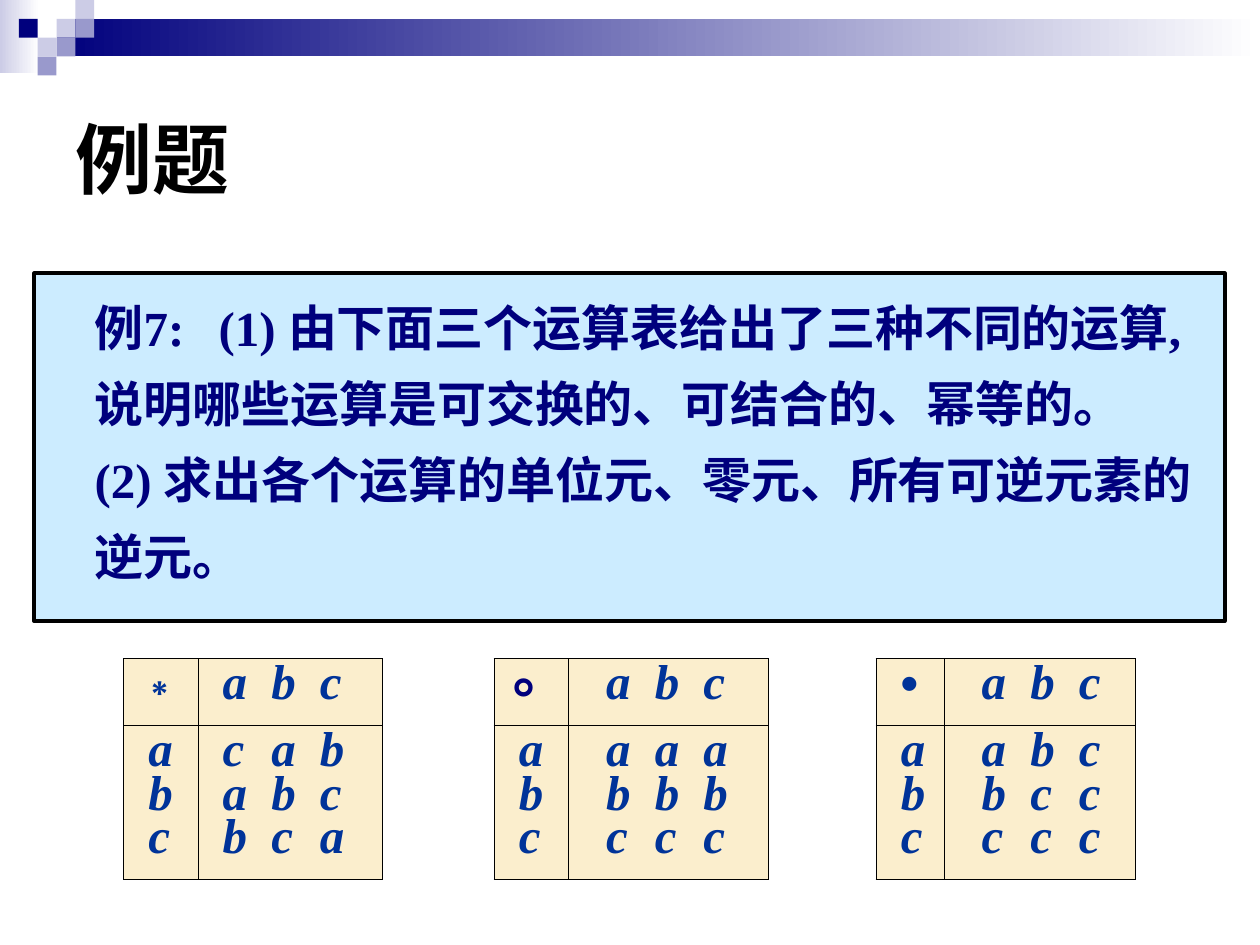
from pptx import Presentation
from pptx import util as u
from pptx.dml.color import RGBColor
from pptx.enum import shapes, text
from lxml import etree
from pptx.oxml import ns

NAVY = RGBColor(0x00, 0x00, 0x7D)
BLUE = RGBColor(0x00, 0x33, 0x99)
LAVENDER = RGBColor(0xCC, 0xCC, 0xE6)
PERIWINKLE = RGBColor(0x99, 0x99, 0xCC)
SKY = RGBColor(0xCC, 0xEC, 0xFF)
CREAM = RGBColor(0xFB, 0xEE, 0xCD)
WHITE = RGBColor(0xFF, 0xFF, 0xFF)
BLACK = RGBColor(0x00, 0x00, 0x00)
SERIF = "Times New Roman"

presentation = Presentation()
presentation.slide_width = u.Cm(25.4)
presentation.slide_height = u.Cm(19.05)
slide = presentation.slides.add_slide(presentation.slide_layouts[6])


def add_rectangle(left, top, width, height, color=None):
    shape = slide.shapes.add_shape(shapes.MSO_SHAPE.RECTANGLE, u.Cm(left),
                                   u.Cm(top), u.Cm(width), u.Cm(height))
    shape.shadow.inherit = False
    shape.line.fill.background()
    if color is not None:
        shape.fill.solid()
        shape.fill.fore_color.rgb = color
    return shape


def write_lines(frame, lines, size, color, spacing, font=SERIF, italic=False, tabs=()):
    frame.word_wrap = True
    frame.text = "\n".join(lines)
    for paragraph in frame.paragraphs:
        paragraph.alignment = text.PP_ALIGN.LEFT
        paragraph.line_spacing = spacing
        if tabs:
            tab_list = etree.SubElement(paragraph._p.get_or_add_pPr(), ns.qn("a:tabLst"))
            for position in tabs:
                etree.SubElement(tab_list, ns.qn("a:tab"), pos=str(u.Cm(position)), algn="l")
        for run in paragraph.runs:
            run.font.name = font
            run.font.size = u.Pt(size)
            run.font.bold = True
            run.font.italic = italic
            run.font.color.rgb = color


# Header: fading bands, then squares on a grid
for left, top, width, height, color in [(0, 0, 0.79, 1.47, LAVENDER),
                                        (1.14, 0.38, 24.26, 0.76, NAVY)]:
    band = add_rectangle(left, top, width, height)
    band.fill.gradient()
    band.fill.gradient_angle = 180
    for stop, stop_color in zip(band.fill.gradient_stops, (WHITE, color)):
        stop.color.rgb = stop_color

SQUARE = 0.38
for column, row, color in [(3, 1, LAVENDER), (4, 0, LAVENDER), (4, 1, PERIWINKLE),
                           (2, 2, LAVENDER), (1, 1, NAVY), (3, 2, PERIWINKLE),
                           (2, 3, PERIWINKLE)]:
    add_rectangle(column * SQUARE, row * SQUARE, SQUARE, SQUARE, color)

# Title
title = slide.shapes.add_textbox(u.Cm(1.27), u.Cm(1.27), u.Cm(22.86), u.Cm(3.81))
title.text_frame.vertical_anchor = text.MSO_ANCHOR.MIDDLE
write_lines(title.text_frame, ["例题"], 44, BLACK, 1.0, font="Arial")

# Problem statement
problem = add_rectangle(0.69, 5.51, 24, 7.01, SKY)
problem.line.color.rgb = BLACK
problem.line.width = u.Pt(2.25)
problem.text_frame.vertical_anchor = text.MSO_ANCHOR.TOP
problem.text_frame.margin_left = u.Cm(1.22)
write_lines(problem.text_frame,
            ["例7:\t(1) 由下面三个运算表给出了三种不同的运算,说明哪些运算是可交换的、可结合的、幂等的。",
             "(2) 求出各个运算的单位元、零元、所有可逆元素的逆元。"],
            28, NAVY, 1.3, tabs=[2.5])

# Operation tables: three pairs of columns with empty columns between them
widths = [1.5, 3.71, 2.26, 1.5, 4.04, 2.16, 1.37, 3.86]
heights = [1.35, 3.1]
GAPS = (2, 5)
table = slide.shapes.add_table(2, len(widths), u.Cm(2.49), u.Cm(13.28),
                               u.Cm(sum(widths)), u.Cm(sum(heights))).table
table.first_row = False
table.horz_banding = False
for column, width in zip(table.columns, widths):
    column.width = u.Cm(width)
for row, height in zip(table.rows, heights):
    row.height = u.Cm(height)

for row in range(2):
    for column in range(len(widths)):
        cell = table.cell(row, column)
        properties = cell._tc.get_or_add_tcPr()
        for side in "LRTB":
            border = etree.SubElement(properties, ns.qn(f"a:ln{side}"), w=str(u.Pt(0.45)))
            if column in GAPS and side in "TB":
                etree.SubElement(border, ns.qn("a:noFill"))
            else:
                solid = etree.SubElement(border, ns.qn("a:solidFill"))
                etree.SubElement(solid, ns.qn("a:srgbClr"), val=str(BLACK))
        if column in GAPS:
            cell.fill.background()
        else:
            cell.fill.solid()
            cell.fill.fore_color.rgb = CREAM
for column in GAPS:
    table.cell(0, column).merge(table.cell(1, column))

# First column, operator, its size, colour and margin, margin of the values, values
operations = [
    (0, "∗", 28, BLUE, 0.25, 0.5, ["cab", "abc", "bca"]),
    (3, "∘", 32, NAVY, 0.25, 0.76, ["aaa", "bbb", "ccc"]),
    (6, "•", 28, BLUE, 0.5, 0.76, ["abc", "bcc", "ccc"]),
]
for first, operator, size, color, operator_margin, value_margin, values in operations:
    operator_cell = table.cell(0, first)
    operator_cell.margin_left = u.Cm(operator_margin)
    write_lines(operator_cell.text_frame, [operator], size, color, 0.8, font="Arial")
    for row, column, margin, lines in [(0, first + 1, value_margin, ["abc"]),
                                       (1, first, 0.5, list("abc")),
                                       (1, first + 1, value_margin, values)]:
        cell = table.cell(row, column)
        cell.margin_left = u.Cm(margin)
        write_lines(cell.text_frame, ["\t".join(line) for line in lines],
                    28, BLUE, 0.8, italic=True, tabs=[0.98, 1.96])

presentation.save("out.pptx")
